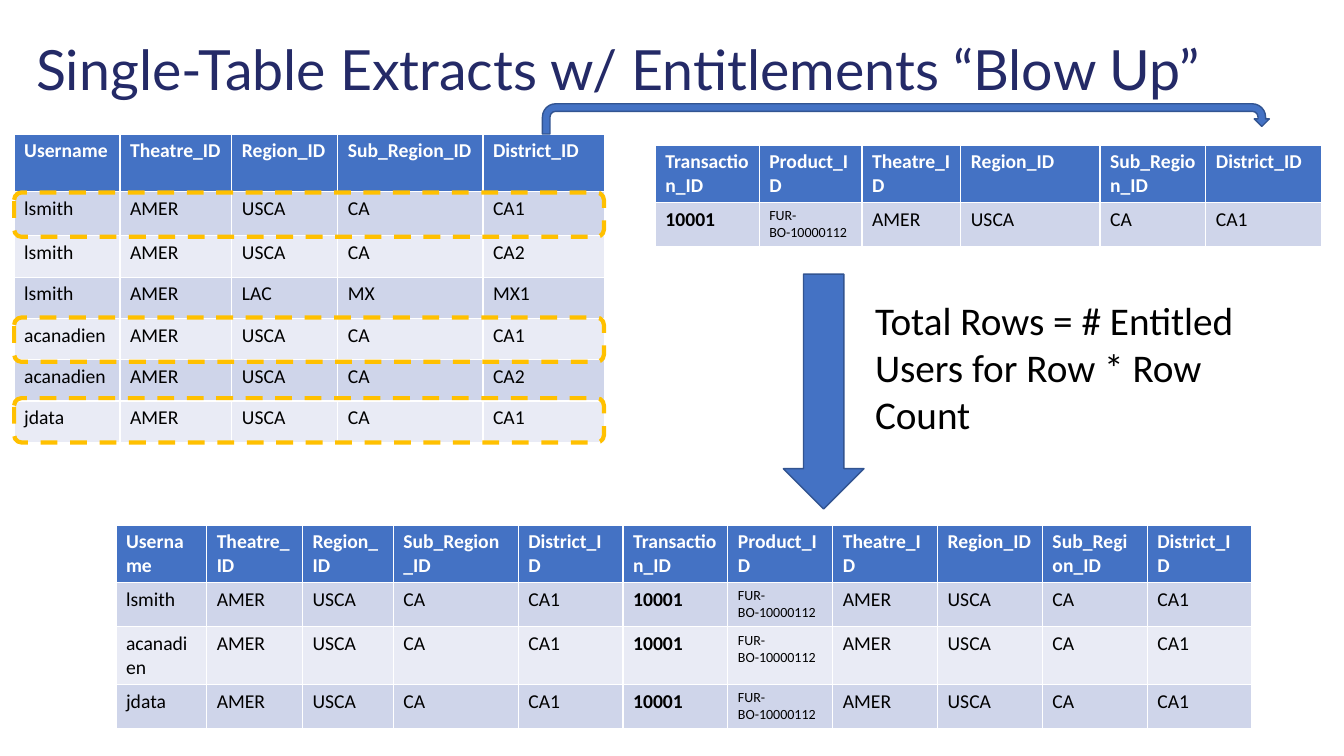
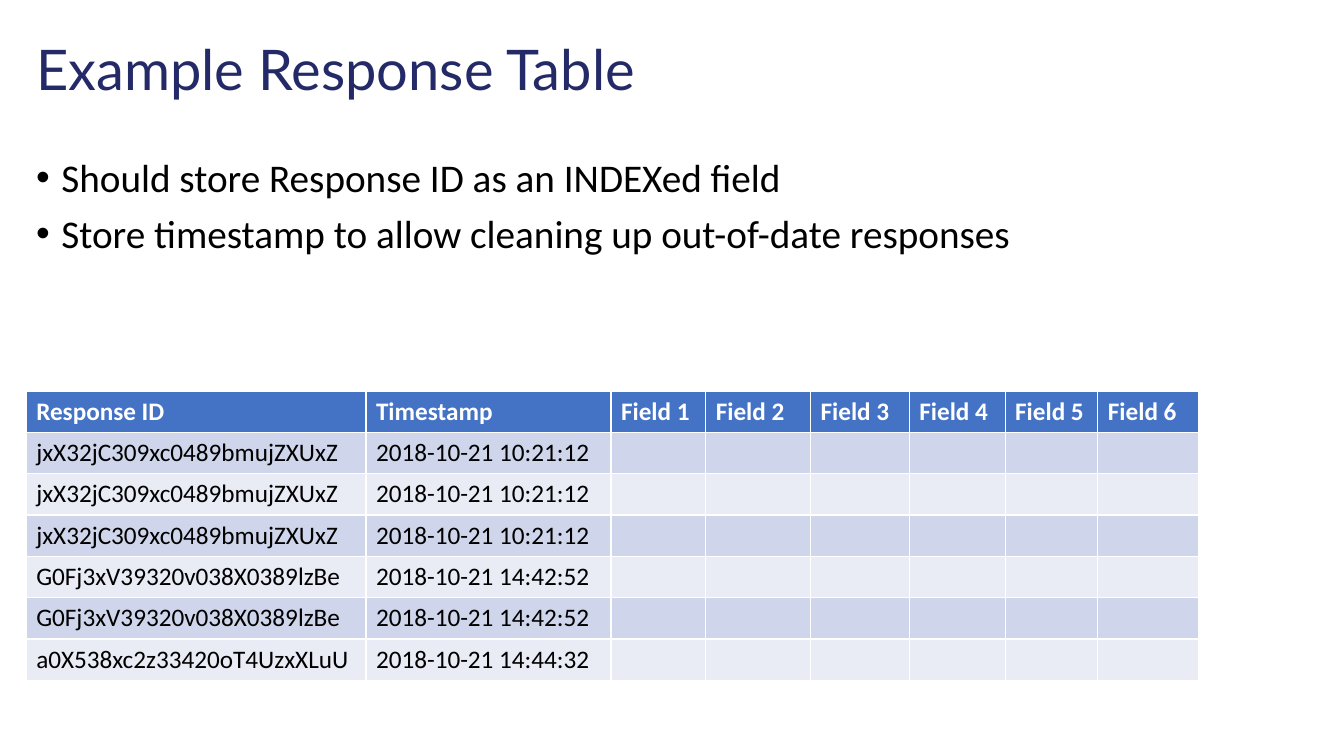
from typing import NamedTuple

from lxml.etree import SubElement
from pptx import Presentation
from pptx.dml.color import RGBColor
from pptx.enum.dml import MSO_LINE as Dash
from pptx.enum.shapes import MSO_SHAPE as Shape
from pptx.enum.text import MSO_ANCHOR as Anchor, MSO_AUTO_SIZE as Fit
from pptx.oxml.ns import qn
from pptx.util import Emu, Pt

# Scale: 100 px to the inch
PX = 9144

# Colours and fonts
NAVY = RGBColor(0x24, 0x2A, 0x67)
BLUE = RGBColor(0x44, 0x72, 0xC4)
EDGE = RGBColor(0x32, 0x54, 0x91)
GOLD = RGBColor(0xFF, 0xC0, 0x00)
DARK = RGBColor(0xCF, 0xD5, 0xEA)
PALE = RGBColor(0xE9, 0xEB, 0xF5)
WHITE = RGBColor(0xFF, 0xFF, 0xFF)
BLACK = RGBColor(0x00, 0x00, 0x00)
HEAD_FONT = "Lato"
BODY_FONT = "Calibri"
BODY = {"name": BODY_FONT, "size": Pt(28)}


class Box(NamedTuple):
    x: int
    y: int
    w: int
    h: int

    def emu(self) -> list[Emu]:
        return [Emu(n * PX) for n in self]


class Grid(NamedTuple):
    x: int
    y: int
    cols: list[int]
    rows: list[int]
    data: list[list[str]]
    size: int


# Table content
USER_HEAD = ["Username", "Theatre_ID", "Region_ID", "Sub_Region_ID", "District_ID"]
USERS = [
    ["lsmith", "AMER", "USCA", "CA", "CA1"],
    ["lsmith", "AMER", "USCA", "CA", "CA2"],
    ["lsmith", "AMER", "LAC", "MX", "MX1"],
    ["acanadien", "AMER", "USCA", "CA", "CA1"],
    ["acanadien", "AMER", "USCA", "CA", "CA2"],
    ["jdata", "AMER", "USCA", "CA", "CA1"],
]
SALE_HEAD = ["Transaction_ID", "Product_ID"] + USER_HEAD[1:]
SALE = ["10001", "FUR-BO-10000112", "AMER", "USCA", "CA", "CA1"]
JOINED = [user + SALE for user in USERS if user[-1] == SALE[-1]]
# Cells that differ from the usual body text
SPECIAL = {SALE[0]: {"bold": True}, SALE[1]: {"size": Pt(10)}}

FIELDS = [f"Field {n}" for n in range(1, 7)]
REPLIES = [
    ("jxX32jC309xc0489bmujZXUxZ", "2018-10-21 10:21:12", 3),
    ("G0Fj3xV39320v038X0389lzBe", "2018-10-21 14:42:52", 2),
    ("a0X538xc2z33420oT4UzxXLuU", "2018-10-21 14:44:32", 1),
]
LOG = [[key, time] + [""] * len(FIELDS)
       for key, time, count in REPLIES for _ in range(count)]

GRIDS = [
    Grid(14, 133, [105, 111, 105, 144, 121], [57, 44] + [41] * 5,
         [USER_HEAD] + USERS, 14),
    Grid(650, 144, [103, 102, 98, 138, 105, 115], [57, 44],
         [SALE_HEAD, SALE], 14),
    Grid(115, 521, [90, 95, 90, 124] + [104] * 7, [57, 44, 57, 44],
         [USER_HEAD + SALE_HEAD] + JOINED, 14),
]
LOG_GRID = Grid(26, 388, [337, 243, 94, 104, 98, 95, 92, 100], [41] * 7,
                [["Response ID", "Timestamp"] + FIELDS] + LOG, 18)
RING_TOPS = [191, 315, 395]
ARROWS = [(Shape.U_TURN_ARROW, Box(538, 103, 721, 30)),
          (Shape.DOWN_ARROW, Box(777, 272, 80, 233))]
NOTES = ["Should store Response ID as an INDEXed field",
         "Store timestamp to allow cleaning up out-of-date responses"]


def style(font, look: dict, color: RGBColor) -> None:
    for key, value in look.items():
        setattr(font, key, value)
    font.color.rgb = color


def add_text(slide, box: Box, lines: list[str], look: dict, color: RGBColor,
             bullet: bool = False, **frame):
    text = slide.shapes.add_textbox(*box.emu()).text_frame
    for key, value in {"word_wrap": True, **frame}.items():
        setattr(text, key, value)
    for i, line in enumerate(lines):
        para = text.paragraphs[0] if i == 0 else text.add_paragraph()
        if bullet:
            props = para._p.get_or_add_pPr()
            props.set("marL", str(25 * PX))
            props.set("indent", str(-25 * PX))
            SubElement(props, qn("a:buFont"), typeface="Arial")
            SubElement(props, qn("a:buChar"), char="•")
            if i:
                para.space_before = Pt(10)
        run = para.add_run()
        run.text = line
        style(run.font, look, color)
    return text


def add_title(slide, line: str, width: int, size: float) -> None:
    text = add_text(slide, Box(26, 26, width, 91), [line],
                    {"name": HEAD_FONT, "size": Pt(size)}, NAVY,
                    vertical_anchor=Anchor.MIDDLE)
    text.paragraphs[0].line_spacing = 0.9


def add_grid(slide, grid: Grid) -> None:
    box = Box(grid.x, grid.y, sum(grid.cols), sum(grid.rows))
    table = slide.shapes.add_table(len(grid.rows), len(grid.cols), *box.emu()).table
    for col, width in zip(table.columns, grid.cols):
        col.width = Emu(width * PX)
    for r, (row, height) in enumerate(zip(table.rows, grid.rows)):
        row.height = Emu(height * PX)
        for cell, word in zip(row.cells, grid.data[r]):
            cell.fill.solid()
            cell.fill.fore_color.rgb = BLUE if r == 0 else DARK if r % 2 else PALE
            if word:
                look = {"name": BODY_FONT, "size": Pt(grid.size), "bold": r == 0}
                run = cell.text_frame.paragraphs[0].add_run()
                run.text = word
                style(run.font, look | SPECIAL.get(word, {}),
                      BLACK if r else WHITE)


def add_shape(slide, kind: Shape, box: Box, fill: RGBColor | None,
              edge: RGBColor, **line) -> None:
    shape = slide.shapes.add_shape(kind, *box.emu())
    shape.shadow.inherit = False
    if fill is None:
        shape.fill.background()
    else:
        shape.fill.solid()
        shape.fill.fore_color.rgb = fill
    shape.line.color.rgb = edge
    for key, value in line.items():
        setattr(shape.line, key, value)


def draw_blow_up(slide) -> None:
    add_title(slide, "Single-Table Extracts w/ Entitlements “Blow Up”", 1307, 39.6)
    for grid in GRIDS:
        add_grid(slide, grid)
    # Rings round the entitled rows
    for top in RING_TOPS:
        add_shape(slide, Shape.ROUNDED_RECTANGLE, Box(14, top, 585, 44), None,
                  GOLD, width=Pt(3), dash_style=Dash.DASH)
    for kind, box in ARROWS:
        add_shape(slide, kind, box, BLUE, EDGE, width=Pt(1))
    add_text(slide, Box(858, 289, 412, 151),
             ["Total Rows = # Entitled Users for Row * Row Count"],
             BODY, BLACK, auto_size=Fit.SHAPE_TO_FIT_TEXT)


def draw_reply(slide) -> None:
    add_title(slide, "Example Response Table", 1285, 40)
    text = add_text(slide, Box(26, 152, 1285, 471), NOTES, BODY, BLACK, bullet=True)
    for para in text.paragraphs:
        para.line_spacing = 0.9
    add_grid(slide, LOG_GRID)


def main() -> None:
    deck = Presentation()
    deck.slide_width, deck.slide_height = Emu(1333 * PX), Emu(750 * PX)
    for draw in (draw_blow_up, draw_reply):
        draw(deck.slides.add_slide(deck.slide_layouts[6]))
    deck.save("out.pptx")


if __name__ == "__main__":
    main()
